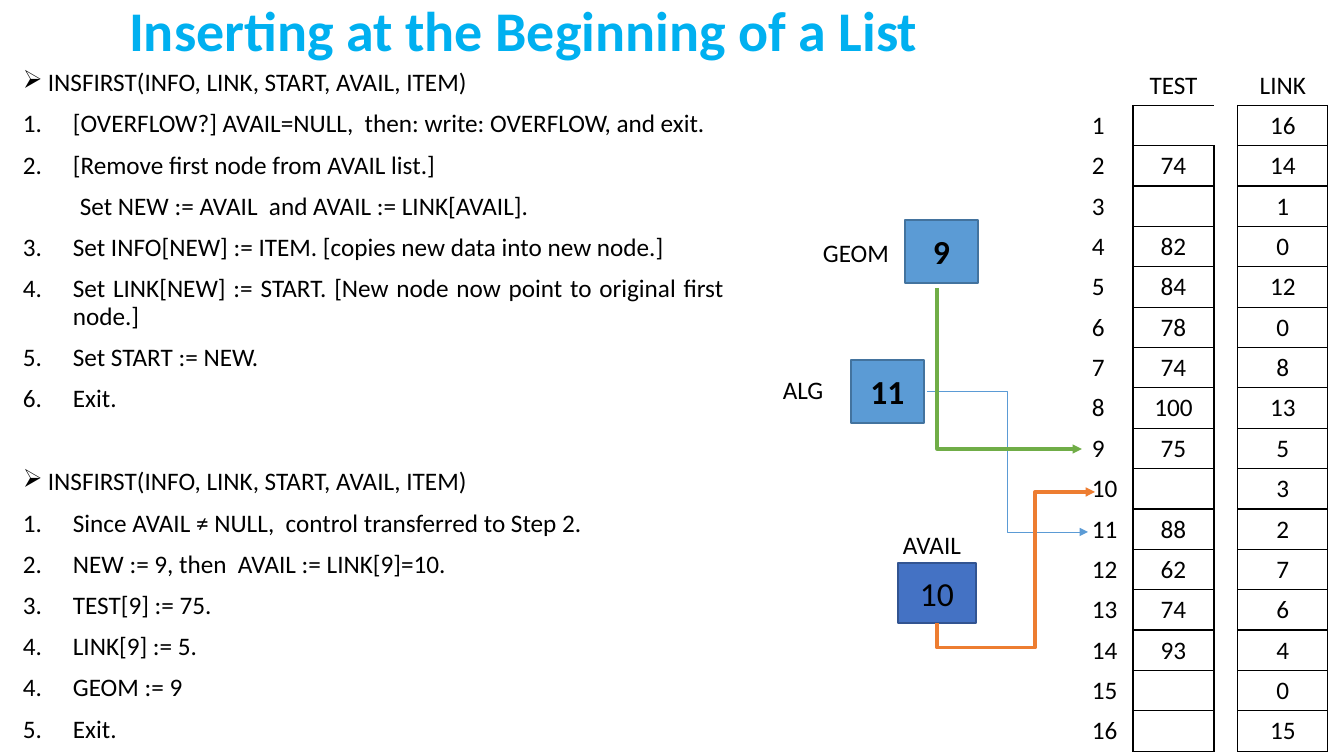
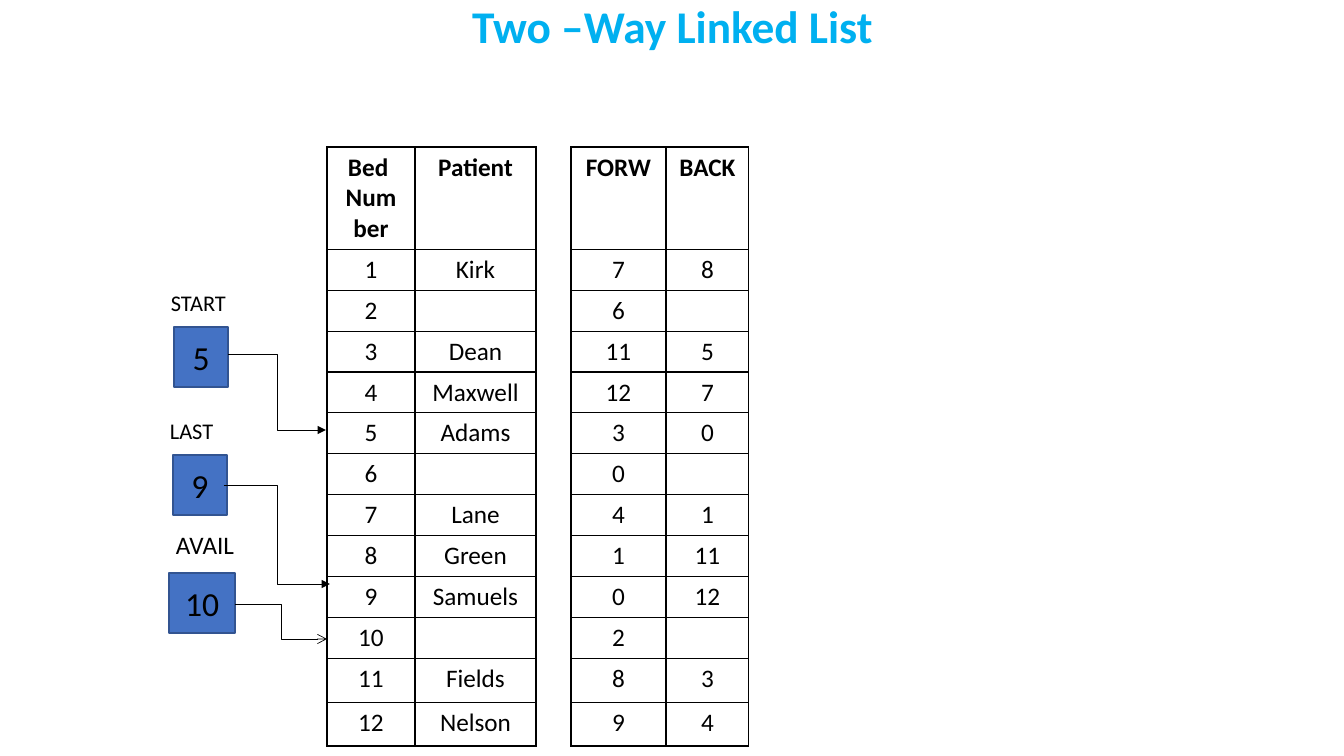
from lxml import etree
from pptx import Presentation
from pptx.dml.color import RGBColor
from pptx.enum.shapes import MSO_CONNECTOR, MSO_SHAPE
from pptx.enum.text import MSO_ANCHOR, MSO_AUTO_SIZE, PP_ALIGN
from pptx.oxml.ns import qn
from pptx.util import Emu, Pt

ELBOW, RECTANGLE = MSO_CONNECTOR.ELBOW, MSO_SHAPE.RECTANGLE
MIDDLE, TOP = MSO_ANCHOR.MIDDLE, MSO_ANCHOR.TOP
NO_FIT = MSO_AUTO_SIZE.NONE
LEFT, CENTER, JUSTIFY = PP_ALIGN.LEFT, PP_ALIGN.CENTER, PP_ALIGN.JUSTIFY

PIXELS_PER_INCH = 100.8
FONT = "Calibri"
BLACK, SKY = "000000", "00B0F0"
BLUE, BLUE_EDGE = "4472C4", "325491"
PALE, PALE_EDGE = "5B9BD5", "43739E"
GREEN, ORANGE = "70AD47", "ED7D31"
NO_STYLE = "{2D5ABB26-0587-4C30-8999-92F81FD0307C}"
ROW = 40

HEADING = "INSFIRST(INFO, LINK, START, AVAIL, ITEM)"
# Each step: its number (None for a continuation line) and its text
ALGORITHM = [
    (1, "[OVERFLOW?] AVAIL=NULL,  then: write: OVERFLOW, and exit."),
    (2, "[Remove first node from AVAIL list.]"),
    (None, "Set NEW := AVAIL  and AVAIL := LINK[AVAIL]."),
    (3, "Set INFO[NEW] := ITEM. [copies new data into new node.]"),
    (4, "Set LINK[NEW] := START. [New node now point to original first node.]"),
    (5, "Set START := NEW."),
    (6, "Exit."),
]
EXAMPLE = [
    (1, "Since AVAIL ≠ NULL,  control transferred to Step 2."),
    (2, "NEW := 9, then  AVAIL := LINK[9]=10."),
    (3, "TEST[9] := 75."),
    (4, "LINK[9] := 5."),
    (4, "GEOM := 9"),
    (5, "Exit."),
]
TEST = ["", 74, "", 82, 84, 78, 74, 100, 75, "", 88, 62, 74, 93, "", ""]
LINK = [16, 14, 1, 0, 12, 0, 8, 13, 5, 3, 2, 7, 6, 4, 0, 15]
PATIENTS = ["Kirk", "", "Dean", "Maxwell", "Adams", "", "Lane", "Green",
            "Samuels", "", "Fields", "Nelson"]
FORW = [7, 6, 11, 12, 3, 0, 4, 1, 0, 2, 8, 9]
BACK = [8, "", 5, 7, 0, "", 1, 11, 12, "", 3, 4]


def px(length):
    """Turn pixels into EMU."""
    return Emu(round(length * 914400 / PIXELS_PER_INCH))


def color(value):
    """Turn a hex string into a colour."""
    return RGBColor.from_string(value)


def child(parent, tag, **attributes):
    """Append a DrawingML element to parent."""
    element = etree.SubElement(parent, qn("a:" + tag))
    for name, value in attributes.items():
        element.set(name, str(value))
    return element


def write(para, text, size=18, bold=False, ink=BLACK, align=LEFT,
          spacing=None, before=None):
    """Put formatted text in a paragraph."""
    para.alignment = align
    if spacing:
        para.line_spacing = spacing
    if before:
        para.space_before = Pt(before)
    para.font.size = Pt(size)
    if text == "":
        return
    span = para.add_run()
    span.text = str(text)
    font = span.font
    font.name, font.size, font.bold = FONT, Pt(size), bold
    font.color.rgb = color(ink)


def place(shape, left, top, width, height):
    """Set the frame of a shape."""
    shape.left, shape.top = px(left), px(top)
    shape.width, shape.height = px(width), px(height)


def add_page(deck, title, frame, size, align):
    """Add a slide with its sky blue title."""
    page = deck.slides.add_slide(deck.slide_layouts[5])
    box = page.shapes.title
    place(box, *frame)
    box.text_frame.vertical_anchor = MIDDLE
    box.text_frame.auto_size = NO_FIT
    write(box.text_frame.paragraphs[0], title, size=size, bold=True, ink=SKY,
          align=align, spacing=0.9)
    return page


def add_label(page, text, left, top, size=18):
    """Add a one-line label."""
    box = page.shapes.add_textbox(px(left), px(top), px(111), px(40))
    box.text_frame.word_wrap = True
    write(box.text_frame.paragraphs[0], text, size=size)


def add_pointer(page, value, frame, fill=BLUE, edge=BLUE_EDGE, bold=False):
    """Add a box that holds the value of a pointer."""
    box = page.shapes.add_shape(RECTANGLE, *map(px, frame))
    box.shadow.inherit = False
    box.fill.solid()
    box.fill.fore_color.rgb = color(fill)
    box.line.color.rgb = color(edge)
    box.line.width = Pt(1)
    box.text_frame.vertical_anchor = MIDDLE
    write(box.text_frame.paragraphs[0], value, size=24, bold=bold, align=CENTER)


def add_elbow(page, start, end, ink=BLACK, weight=0.5, head="triangle",
              preset="bentConnector3", turn=0, flips="", bends=()):
    """Add a bent arrow; a quarter turn swaps the sides of its frame."""
    width, height = abs(end[0] - start[0]), abs(end[1] - start[1])
    if turn:
        width, height = height, width
    left = (start[0] + end[0] - width) / 2
    top = (start[1] + end[1] - height) / 2
    arrow = page.shapes.add_connector(
        ELBOW, px(left), px(top), px(left + width), px(top + height))
    arrow.line.color.rgb = color(ink)
    arrow.line.width = Pt(weight)
    properties = arrow.line._get_or_add_ln().getparent()
    frame = properties.find(qn("a:xfrm"))
    if turn:
        frame.set("rot", str(turn * 60000))
    for axis in flips:
        frame.set("flip" + axis, "1")
    geometry = properties.find(qn("a:prstGeom"))
    geometry.set("prst", preset)
    guides = geometry.find(qn("a:avLst"))
    for number, bend in enumerate(bends, 1):
        child(guides, "gd", name=f"adj{number}", fmla=f"val {round(bend * 100000)}")
    child(properties.find(qn("a:ln")), "tailEnd", type=head)
    child(properties, "effectLst")


def add_item(para, text, number=None, symbol=None, indent=0, hang=0, before=10):
    """Write a list paragraph with a number, a symbol or a plain indent."""
    write(para, text, align=JUSTIFY, spacing=0.9, before=before)
    properties = para._p.get_or_add_pPr()
    properties.set("marL", str(px(indent)))
    properties.set("indent", str(-px(hang)))
    if symbol:
        child(properties, "buChar", char=symbol)
    elif number:
        child(properties, "buAutoNum", type="arabicPeriod", startAt=number)
    else:
        child(properties, "buNone")


def add_steps(page, frame, groups):
    """Add groups of numbered steps, each under the same heading."""
    box = page.shapes.add_textbox(*map(px, frame))
    body = box.text_frame
    body.word_wrap = True
    for index, steps in enumerate(groups):
        para = body.add_paragraph() if index else body.paragraphs[0]
        add_item(para, HEADING, symbol="➢", indent=25, hang=25,
                 before=40 if index else 10)
        first = 1
        previous = None
        for number, text in steps:
            # A run of consecutive numbers shares one starting value
            if number and (previous is None or number != previous + 1):
                first = number
            previous = number
            if number:
                add_item(body.add_paragraph(), text, number=first,
                         indent=50, hang=50)
            else:
                add_item(body.add_paragraph(), text, indent=57)


def format_cell(cell, edges, margin):
    """Draw the named black edges of a cell and clear its fill."""
    properties = cell._tc.get_or_add_tcPr()
    for side in "LRTB":
        if side in edges:
            line = child(properties, "ln" + side, w=Pt(1))
            child(child(line, "solidFill"), "srgbClr", val=BLACK)
        else:
            child(child(properties, "ln" + side, w=0), "noFill")
    cell.fill.background()
    cell.margin_left = cell.margin_right = px(margin)
    cell.vertical_anchor = TOP


def add_grid(page, left, top, widths, heights, rows, edges_at, gap_end,
             margin=10, left_column=None, bold_header=False):
    """Add a table whose third column is a gap, merged down to gap_end."""
    frame = page.shapes.add_table(len(rows), len(widths), px(left), px(top),
                                  px(sum(widths)), px(sum(heights)))
    table = frame.table
    table.first_row = table.horz_banding = False
    table._tbl.tblPr.find(qn("a:tableStyleId")).text = NO_STYLE
    for column, width in zip(table.columns, widths):
        column.width = px(width)
    for row, height in zip(table.rows, heights):
        row.height = px(height)
    for r, values in enumerate(rows):
        for c, value in enumerate(values):
            cell = table.cell(r, c)
            format_cell(cell, edges_at(r, c), margin)
            write(cell.text_frame.paragraphs[0], value,
                  bold=bold_header and r == 0,
                  align=LEFT if c == left_column else CENTER)
    table.cell(0, 2).merge(table.cell(gap_end, 2))


def memory_edges(row, column):
    """Give the edges of a cell in the TEST and LINK table."""
    if row == 0:
        return "B" if column in (1, 3) else ""
    if column == 0:
        return "R"
    if column == 2:
        return "LR" if row > 1 else ""
    return "LTB" if (row, column) == (1, 1) else "LRTB"


def ward_edges(row, column):
    """Give the edges of a cell in the patient table."""
    return "LR" if column == 2 else "LRTB"


def build_insertion(deck):
    """Build the slide on inserting at the beginning."""
    page = add_page(deck, "Inserting at the Beginning of a List",
                    (119, 4, 1159, 58), 40, LEFT)
    add_steps(page, (13, 65, 721, 673), [ALGORITHM, EXAMPLE])
    rows = [["", "TEST", "", "LINK"]]
    rows += [[number, test, "", link]
             for number, (test, link) in enumerate(zip(TEST, LINK), 1)]
    add_grid(page, 1082, 65, [51, 81, 23, 90], [ROW] * len(rows), rows,
             memory_edges, gap_end=1, left_column=0)
    for value, left, top in [(11, 851, 360), (9, 905, 220)]:
        add_pointer(page, value, (left, top, 73, 63), PALE, PALE_EDGE, True)
    add_pointer(page, 10, (898, 563, 78, 60))
    add_label(page, "ALG", 773, 369)
    add_label(page, "GEOM", 813, 232)
    add_label(page, "AVAIL", 893, 524)
    add_elbow(page, (927, 391), (1088, 532), PALE)
    add_elbow(page, (937, 288), (1082, 449), GREEN, 2.25,
              preset="bentConnector2", turn=270, flips="H")
    add_elbow(page, (937, 623), (1095, 492), ORANGE, 2.25,
              preset="bentConnector4", turn=90, flips="HV", bends=(-0.19, 0.62))


def build_two_way(deck):
    """Build the slide on the two-way list."""
    page = add_page(deck, "Two –Way Linked List", (93, 0, 1159, 58), 32.4, CENTER)
    rows = [["Bed  Number", "Patient", "", "FORW", "BACK"]]
    rows += [[bed, patient, "", forward, back] for bed, (patient, forward, back)
             in enumerate(zip(PATIENTS, FORW, BACK), 1)]
    add_grid(page, 327, 147, [88, 121, 35, 95, 83], [102] + [ROW] * 10 + [44] * 2,
             rows, ward_edges, gap_end=10, margin=12, bold_header=True)
    add_pointer(page, 5, (174, 327, 54, 60))
    add_pointer(page, 9, (173, 455, 54, 60))
    add_pointer(page, 10, (169, 573, 66, 60))
    add_label(page, "START", 161, 284, size=16)
    add_label(page, "LAST", 160, 412, size=16)
    add_label(page, "AVAIL", 166, 524)
    add_elbow(page, (228, 354), (326, 430))
    add_elbow(page, (224, 485), (330, 584))
    add_elbow(page, (235, 604), (327, 639), head="arrow")


def main():
    """Build and save the deck."""
    deck = Presentation()
    deck.slide_width, deck.slide_height = px(1344), px(756)
    build_insertion(deck)
    build_two_way(deck)
    deck.save("out.pptx")


main()
